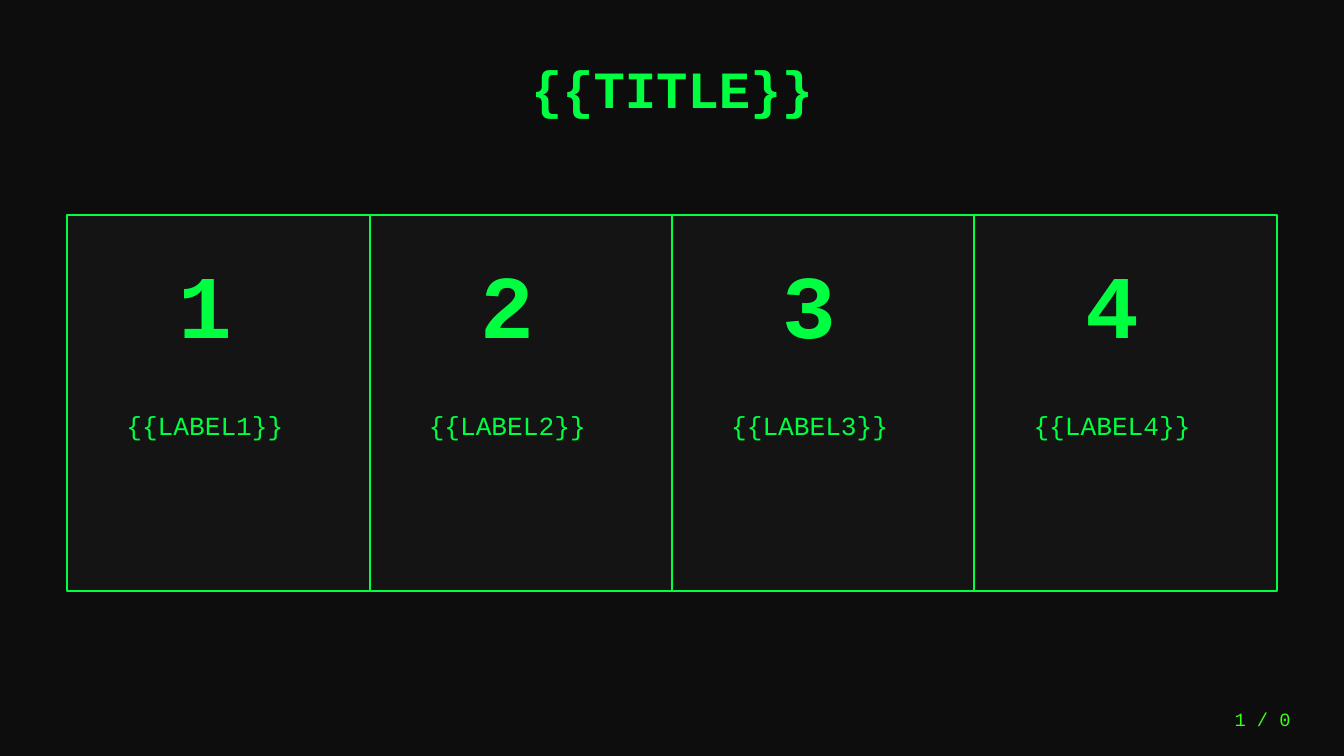
from pptx import Presentation
from pptx.dml.color import RGBColor
from pptx.enum.shapes import MSO_SHAPE
from pptx.enum.text import MSO_ANCHOR, PP_ALIGN
from pptx.util import Pt

RECTANGLE = MSO_SHAPE.RECTANGLE
TOP, MIDDLE = MSO_ANCHOR.TOP, MSO_ANCHOR.MIDDLE
CENTER, RIGHT = PP_ALIGN.CENTER, PP_ALIGN.RIGHT

# Content
TITLE = "{{TITLE}}"
CARDS = [
    ("1", "{{LABEL1}}"),
    ("2", "{{LABEL2}}"),
    ("3", "{{LABEL3}}"),
    ("4", "{{LABEL4}}"),
]
PAGE_NUMBER = "1 / 0"

THEME = {
    "font": "Courier New",
    "background": RGBColor(0x0D, 0x0D, 0x0D),
    "card": RGBColor(0x14, 0x14, 0x14),
    "green": RGBColor(0x00, 0xFF, 0x41),
    "lime": RGBColor(0x39, 0xFF, 0x14),
    "title_size": 28,
    "number_size": 48,
    "label_size": 14,
    "page_size": 10,
}

# Layout, in points
SLIDE_WIDTH, SLIDE_HEIGHT = 720, 405
MARGIN = 36
CONTENT_WIDTH = SLIDE_WIDTH - 2 * MARGIN
CARD_WIDTH = CONTENT_WIDTH / len(CARDS)
CARD_TEXT_WIDTH = CARD_WIDTH - 14.4


def add_text(slide, text, box, size, color=THEME["green"], bold=False,
             align=CENTER, anchor=MIDDLE):
    frame = slide.shapes.add_textbox(*map(Pt, box)).text_frame
    frame.word_wrap = True
    frame.vertical_anchor = anchor
    paragraph = frame.paragraphs[0]
    paragraph.alignment = align
    run = paragraph.add_run()
    run.text = text
    run.font.name = THEME["font"]
    run.font.size = Pt(size)
    run.font.bold = bold
    run.font.color.rgb = color


def add_card(slide, left, number, label):
    card = slide.shapes.add_shape(
        RECTANGLE, Pt(left), Pt(115.2), Pt(CARD_WIDTH), Pt(201.6))
    card.shadow.inherit = False
    card.fill.solid()
    card.fill.fore_color.rgb = THEME["card"]
    card.line.color.rgb = THEME["green"]
    card.line.width = Pt(1)
    add_text(slide, number, (left, 108, CARD_TEXT_WIDTH, 108),
             THEME["number_size"], bold=True)
    add_text(slide, label, (left, 216, CARD_TEXT_WIDTH, 72),
             THEME["label_size"], anchor=TOP)


def main():
    presentation = Presentation()
    presentation.slide_width = Pt(SLIDE_WIDTH)
    presentation.slide_height = Pt(SLIDE_HEIGHT)
    slide = presentation.slides.add_slide(presentation.slide_layouts[6])
    slide.background.fill.solid()
    slide.background.fill.fore_color.rgb = THEME["background"]

    # Title
    add_text(slide, TITLE, (MARGIN, 21.6, CONTENT_WIDTH, 50.4),
             THEME["title_size"], bold=True)

    # Row of adjoining cards
    for index, (number, label) in enumerate(CARDS):
        add_card(slide, MARGIN + index * CARD_WIDTH, number, label)

    # Page number
    add_text(slide, PAGE_NUMBER, (612, 374.4, 86.4, 21.6),
             THEME["page_size"], color=THEME["lime"], align=RIGHT)

    presentation.save("out.pptx")


if __name__ == "__main__":
    main()
